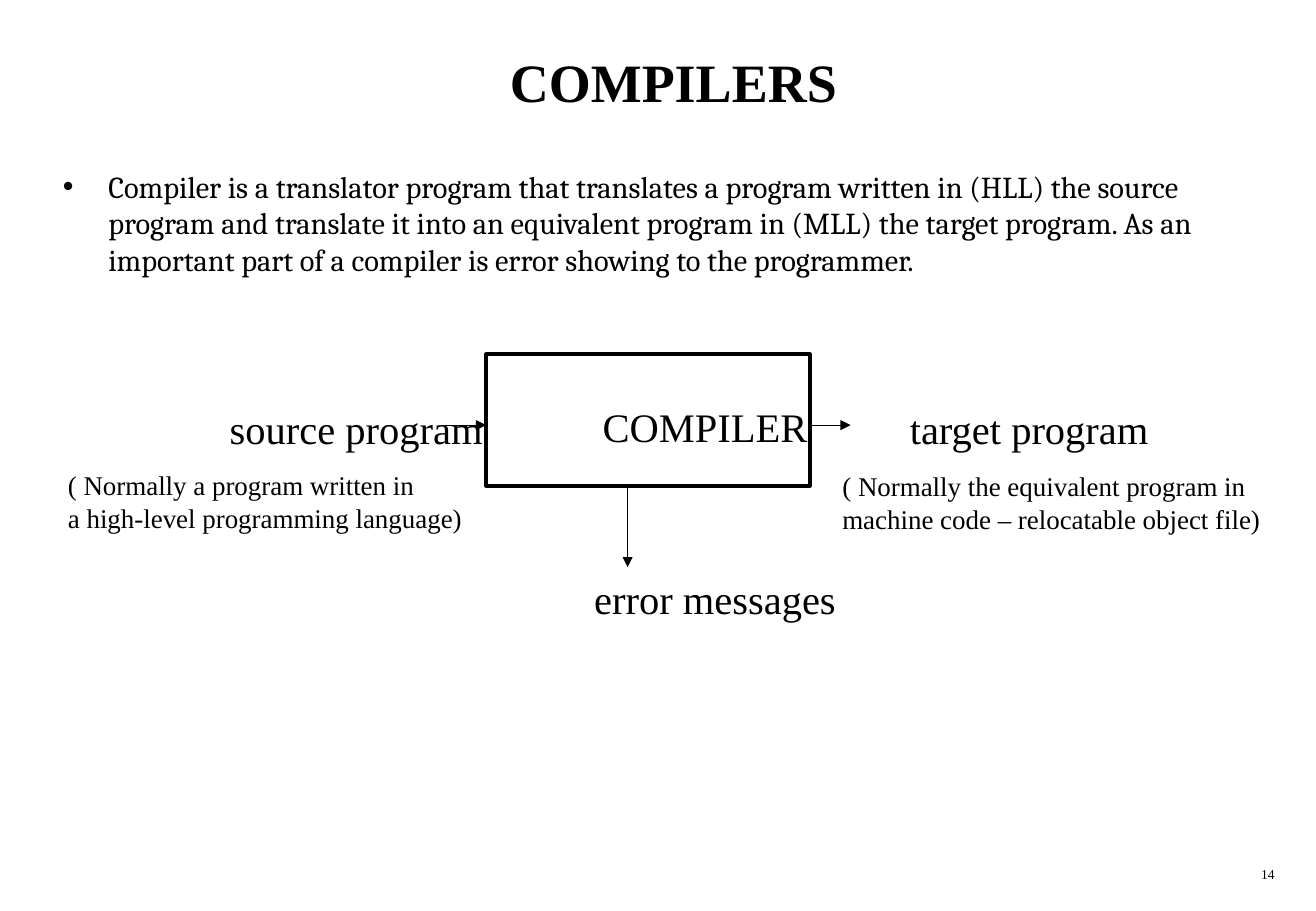
from lxml.etree import SubElement
from pptx import Presentation
from pptx.dml.color import RGBColor
from pptx.enum.shapes import MSO_CONNECTOR as Link, MSO_SHAPE as Preset
from pptx.enum.text import MSO_ANCHOR as Anchor, MSO_AUTO_SIZE as Fit, PP_ALIGN as Align
from pptx.oxml.ns import qn
from pptx.util import Cm, Pt

COLOURS = {"ink": "000000", "paper": "FFFFFF"}
SERIF = "Times New Roman"
NO_INSETS = dict(margin_left=0, margin_right=0, margin_top=0, margin_bottom=0)


def colour(name):
    return RGBColor.from_string(COLOURS[name])


def apply(target, values):
    for name, value in values.items():
        setattr(target, name, value)


class SlideBuilder:
    """Holds the text style and the page being built."""

    def __init__(self, page):
        self.page = page
        self.style = dict(name=SERIF, bold=False)
        page.background.fill.solid()
        page.background.fill.fore_color.rgb = colour("paper")

    def fill_text(self, shape, lines, size, align=Align.LEFT, frame=None, **font):
        text = shape.text_frame
        apply(text, dict(auto_size=Fit.NONE, **(frame or {})))
        for number, line in enumerate(lines):
            para = text.add_paragraph() if number else text.paragraphs[0]
            para.alignment = align
            span = para.add_run()
            span.text = line
            apply(span.font, {**self.style, "size": Pt(size), **font})
            span.font.color.rgb = colour("ink")

    def placeholder(self, index, place, lines, size, **options):
        holder = self.page.placeholders[index]
        apply(holder, dict(zip(("left", "top", "width", "height"), map(Cm, place))))
        self.fill_text(holder, lines, size, **options)
        return holder

    def bullet(self, para, indent):
        props = para._p.get_or_add_pPr()
        props.set("marL", str(Cm(indent)))
        props.set("indent", str(-Cm(indent)))
        SubElement(props, qn("a:buChar"), char="•")

    def text(self, place, lines, size, wrap=False, frame=None, **options):
        box = self.page.shapes.add_textbox(*map(Cm, place))
        self.fill_text(box, lines, size, frame=dict(word_wrap=wrap, **(frame or {})), **options)

    def label(self, left, top, wording):
        self.text((left, top, 5.4, 0.97), [wording], 24, frame=NO_INSETS)

    def rectangle(self, place, wording):
        box = self.page.shapes.add_shape(Preset.RECTANGLE, *map(Cm, place))
        box.shadow.inherit = False
        box.fill.background()
        box.line.color.rgb = colour("ink")
        box.line.width = Pt(2.25)
        inset = {**NO_INSETS, "margin_top": Cm(0.25), "margin_right": Cm(0.05)}
        self.fill_text(box, [wording], 24, Align.RIGHT,
                       dict(vertical_anchor=Anchor.MIDDLE, **inset))

    def arrow(self, start, end):
        line = self.page.shapes.add_connector(Link.STRAIGHT, *map(Cm, start + end))
        line.line.color.rgb = colour("ink")
        line.line.width = Pt(0.75)
        SubElement(line.line._get_or_add_ln(), qn("a:tailEnd"), type="triangle")
        SubElement(line._element.spPr, qn("a:effectLst"))


def main():
    deck = Presentation()
    deck.slide_width, deck.slide_height = Cm(27.51), Cm(19.05)
    slide = SlideBuilder(deck.slides.add_slide(deck.slide_layouts[1]))

    # Title and definition
    slide.placeholder(0, (1.06, 0.42, 26.04, 2.54), ["COMPILERS"], 32, align=Align.CENTER,
                      frame=dict(vertical_anchor=Anchor.MIDDLE), bold=True)
    body = slide.placeholder(1, (1.06, 3.39, 26.04, 14.18), [
        "Compiler is a translator program that translates a program written in (HLL) "
        "the source program and translate it into an equivalent program in (MLL) the "
        "target program. As an important part of a compiler is error showing to the "
        "programmer."], 18, name="Cambria")
    slide.bullet(body.text_frame.paragraphs[0], 0.95)

    # Compiler box
    left, top, width, height = 10.16, 7.41, 6.77, 2.75
    right, bottom = left + width, top + height
    slide.rectangle((left, top, width, height), "COMPILER")

    # Input, output and error arrows
    flow, reach, error = 8.89, 0.85, 13.12
    slide.arrow((left - reach, flow), (left, flow))
    slide.arrow((right, flow), (right + reach, flow))
    slide.arrow((error, bottom), (error, bottom + 2 * reach))

    # Flow labels
    for place_left, place_top, wording in (
            (4.8, 8.45, "source program"),
            (19.02, 8.45, "target program"),
            (12.42, 12, "error messages")):
        slide.label(place_left, place_top, wording)

    # Explanations under the labels
    slide.text((1.17, 9.68, 8.79, 1.63),
               ["( Normally a program written in", "a high-level programming language)"], 16)
    slide.text((17.36, 9.7, 9.3, 1.63),
               ["( Normally the equivalent program in",
                "machine code – relocatable object file)"], 16)

    # Page number
    slide.text((21.16, 17.99, 5.74, 0.64), ["14"], 8, wrap=True, align=Align.RIGHT)

    deck.save("out.pptx")


if __name__ == "__main__":
    main()
